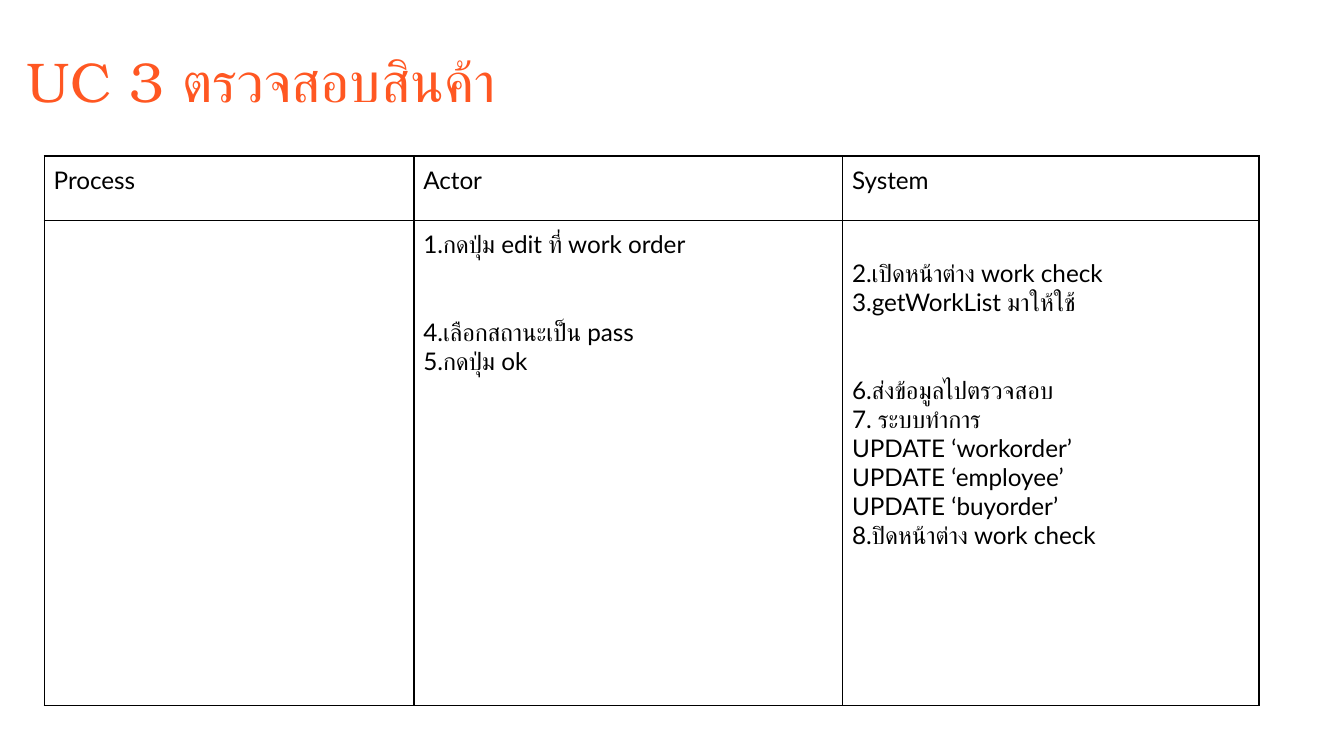
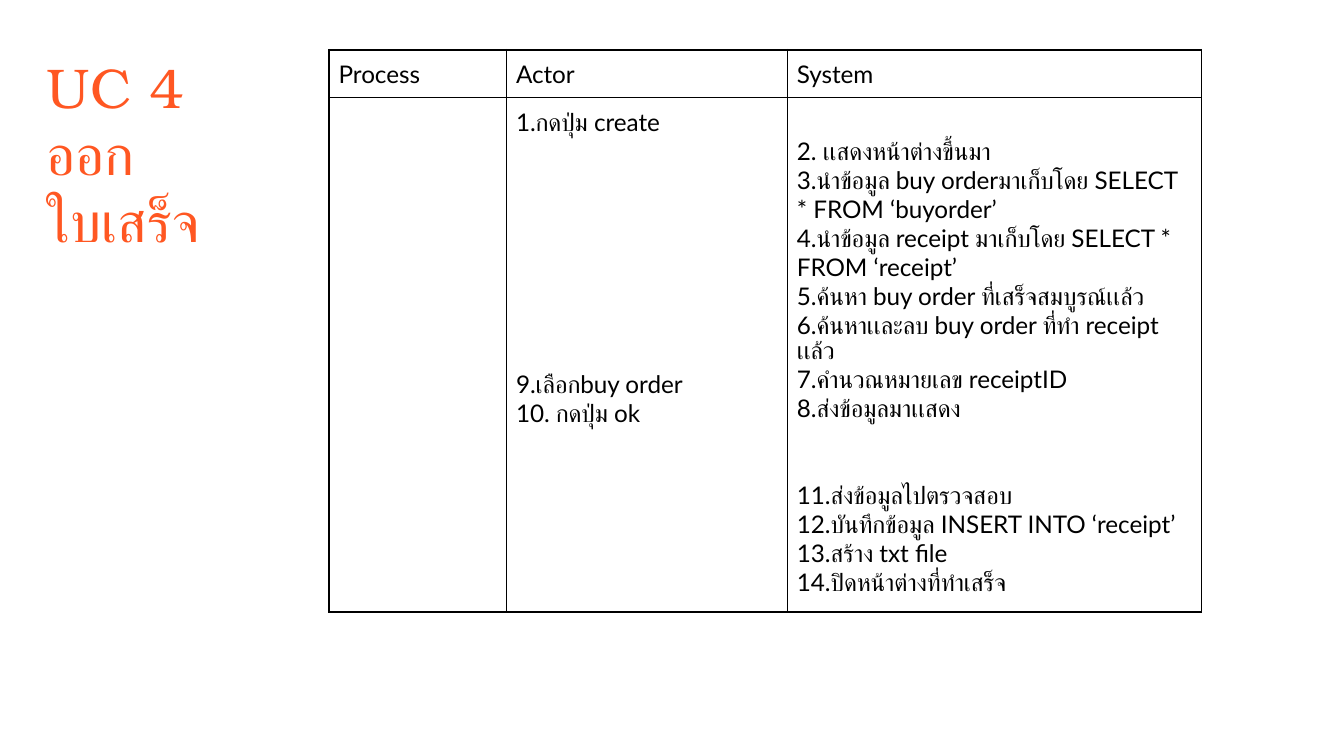
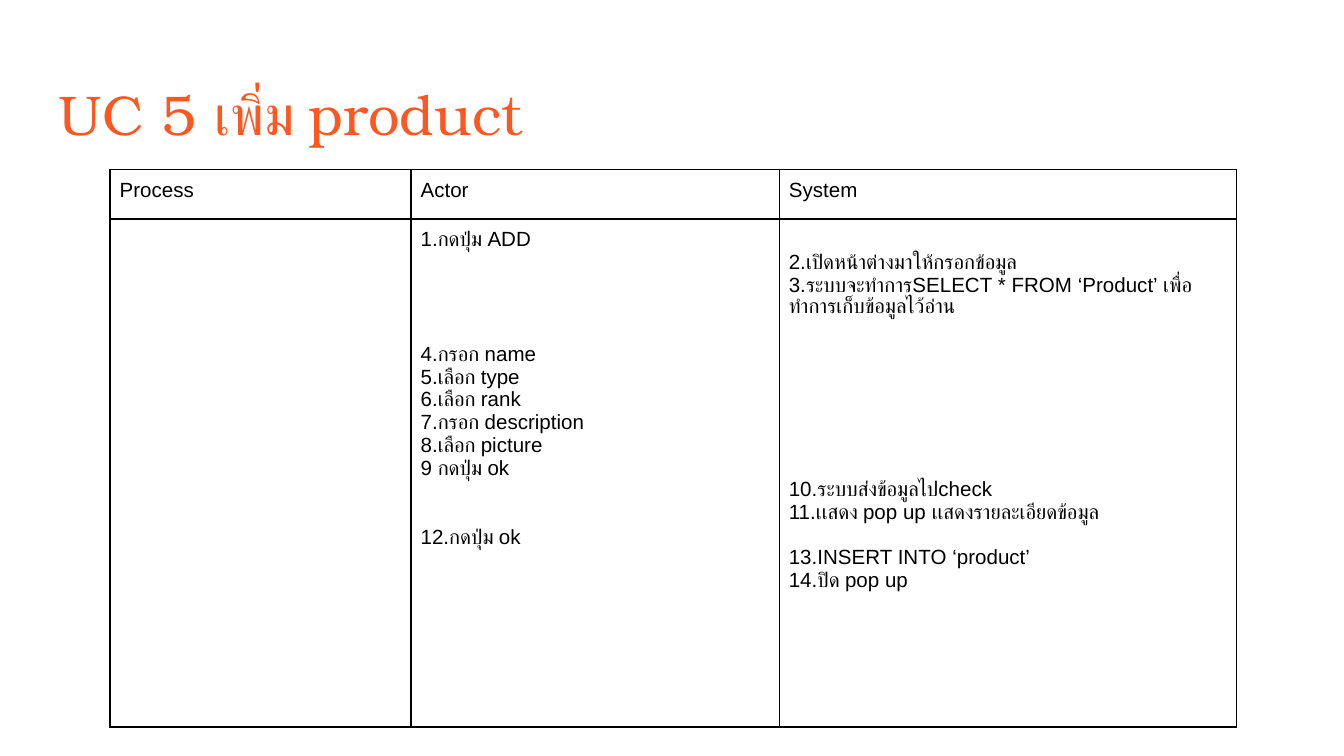
from lxml.etree import SubElement
from pptx import Presentation
from pptx.dml.color import RGBColor
from pptx.oxml.ns import qn
from pptx.util import Inches, Pt

ORANGE = RGBColor(0xFF, 0x57, 0x22)
BLACK = RGBColor(0, 0, 0)
HEADS = ("Process", "Actor", "System")
PAD = Inches(0.07)


def set_font(para, name, size, color):
    para.font.name = name
    para.font.size = Pt(size)
    para.font.color.rgb = color


def add_title(slide, box, lines):
    frame = slide.shapes.add_textbox(*map(Inches, box)).text_frame
    frame.word_wrap = True
    frame.margin_left = frame.margin_right = Inches(0.1)
    frame.margin_top = frame.margin_bottom = Inches(0.1)
    frame.text = "\n".join(lines)
    for para in frame.paragraphs:
        set_font(para, "TeX Gyre Bonum", 30, ORANGE)


def add_edges(cell):
    props = cell._tc.get_or_add_tcPr()
    for side in ("lnL", "lnR", "lnT", "lnB"):
        line = SubElement(props, qn(f"a:{side}"), w=str(Pt(1)))
        fill = SubElement(line, qn("a:solidFill"))
        SubElement(fill, qn("a:srgbClr"), val=str(BLACK))


def fill_cell(cell, steps, name, size, pitch):
    frame = cell.text_frame
    para = None
    gap = 0
    for step in steps:
        if isinstance(step, int):
            gap = step
            continue
        if para is None:
            para = frame.paragraphs[0]
            cell.margin_top = PAD + Pt(gap * pitch)
        else:
            para = frame.add_paragraph()
            para.space_before = Pt(gap * pitch)
        para.text = step
        set_font(para, name, size, BLACK)
        gap = 0


def add_grid(slide, left, top, cols, rows, actor, system, name, size, pitch):
    box = map(Inches, (left, top, sum(cols), sum(rows)))
    table = slide.shapes.add_table(len(rows), len(cols), *box).table
    table.first_row = table.horz_banding = False
    for col, width in zip(table.columns, cols):
        col.width = Inches(width)
    for row, height in zip(table.rows, rows):
        row.height = Inches(height)
    texts = [[[head] for head in HEADS], [[], actor, system]]
    for row, line in zip(table.rows, texts):
        for cell, steps in zip(row.cells, line):
            cell.margin_left = cell.margin_right = PAD
            cell.margin_top = cell.margin_bottom = PAD
            add_edges(cell)
            cell.fill.background()
            fill_cell(cell, steps, name, size, pitch)


CASES = [
    dict(
        title=((0.1, 0.25, 4.67, 0.77), ["UC 3 ตรวจสอบสินค้า"]),
        grid=dict(
            left=0.33, top=1.16, cols=(2.75, 3.19, 3.1), rows=(0.48, 3.61),
            name="Lato", size=13, pitch=15.6,
            actor=["1.กดปุ่ม edit ที่ work order", 2,
                   "4.เลือกสถานะเป็น pass", "5.กดปุ่ม ok"],
            system=[1, "2.เปิดหน้าต่าง work check", "3.getWorkList มาให้ใช้", 2,
                    "6.ส่งข้อมูลไปตรวจสอบ", "7. ระบบทำการ",
                    "UPDATE ‘workorder’", "UPDATE ‘employee’",
                    "UPDATE ‘buyorder’", "8.ปิดหน้าต่าง work check"],
        ),
    ),
    dict(
        title=((0.25, 0.29, 4.67, 0.77), ["UC 4", "ออก", "ใบเสร็จ"]),
        grid=dict(
            left=2.45, top=0.37, cols=(1.32, 2.09, 3.08), rows=(0.17, 0.01),
            name="Lato", size=13, pitch=15.6,
            actor=["1.กดปุ่ม create", 8, "9.เลือกbuy order", "10. กดปุ่ม ok"],
            system=[1, "2. เเสดงหน้าต่างขึ้นมา",
                    "3.นำข้อมูล buy orderมาเก็บโดย SELECT * FROM ‘buyorder’",
                    "4.นำข้อมูล receipt มาเก็บโดย SELECT * FROM ‘receipt’",
                    "5.ค้นหา buy order ที่เสร็จสมบูรณ์เเล้ว",
                    "6.ค้นหาเเละลบ buy order ที่ทำ receipt เเล้ว",
                    "7.คำนวณหมายเลข receiptID", "8.ส่งข้อมูลมาเเสดง", 2,
                    "11.ส่งข้อมูลไปตรวจสอบ",
                    "12.บันทึกข้อมูล INSERT INTO ‘receipt’",
                    "13.สร้าง txt file", "14.ปิดหน้าต่างที่ทำเสร็จ"],
        ),
    ),
    dict(
        title=((0.34, 0.49, 6.64, 3.61), ["UC 5 เพิ่ม product"]),
        grid=dict(
            left=0.82, top=1.26, cols=(2.24, 2.74, 3.4), rows=(0.37, 3.78),
            name="Arial", size=11, pitch=12.25,
            actor=["1.กดปุ่ม ADD", 4, "4.กรอก name", "5.เลือก type",
                   "6.เลือก rank", "7.กรอก description", "8.เลือก picture",
                   "9 กดปุ่ม ok", 2, "12.กดปุ่ม ok"],
            system=[1, "2.เปิดหน้าต่างมาให้กรอกข้อมูล",
                    "3.ระบบจะทำการSELECT * FROM ‘Product’ เพื่อทำการเก็บข้อมูลไว้อ่าน",
                    7, "10.ระบบส่งข้อมูลไปcheck",
                    "11.เเสดง pop up เเสดงรายละเอียดข้อมูล", 1,
                    "13.INSERT INTO ‘product’", "14.ปิด pop up"],
        ),
    ),
]


def main():
    deck = Presentation()
    deck.slide_width = Inches(10)
    deck.slide_height = deck.slide_width * 9 // 16
    for case in CASES:
        slide = deck.slides.add_slide(deck.slide_layouts[6])
        add_title(slide, *case["title"])
        add_grid(slide, **case["grid"])
    deck.save("out.pptx")


if __name__ == "__main__":
    main()
